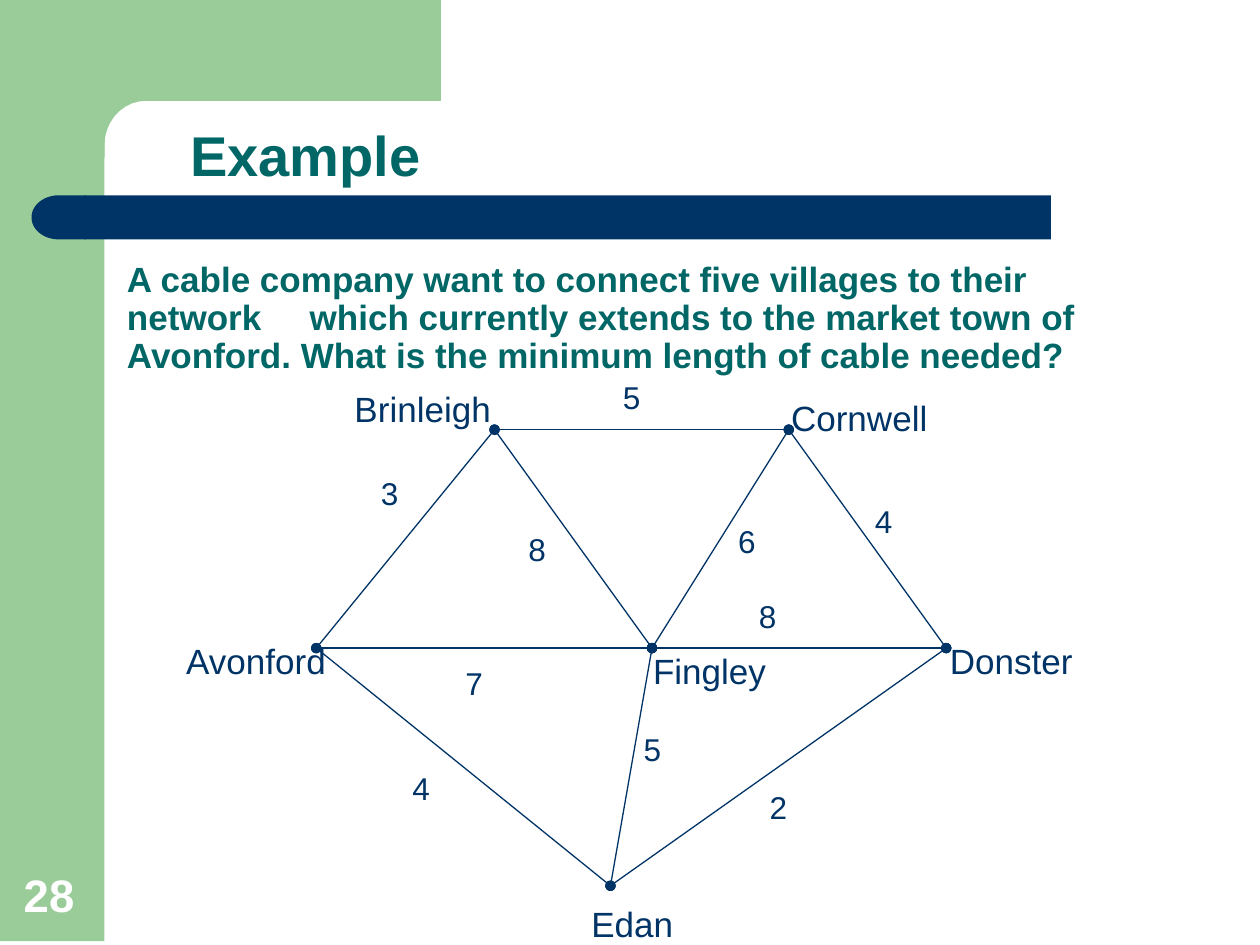
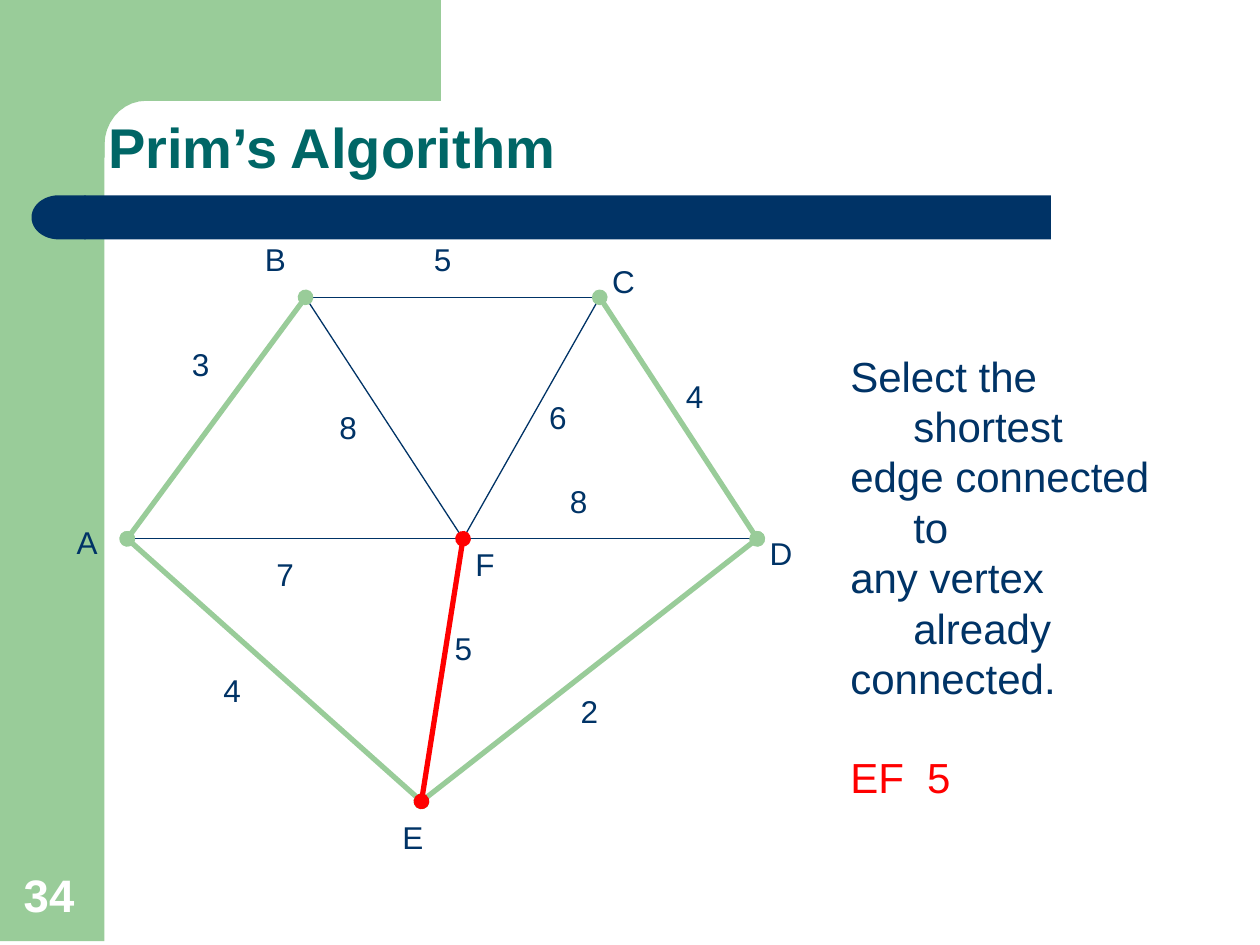
import math
from dataclasses import dataclass

from lxml import etree
from pptx import Presentation
from pptx import util as u
from pptx.dml.color import RGBColor
from pptx.enum import shapes, text
from pptx.oxml import ns

# Grid: 100 columns by 75 rows of square cells
CELL = u.Inches(0.1)
COLUMNS, ROWS = 100, 75


@dataclass(frozen=True)
class Theme:
    font: str = "Arial"
    green: str = "99CC99"
    navy: str = "003366"
    teal: str = "006666"
    red: str = "FF0000"
    white: str = "FFFFFF"
    title: int = 32
    number: int = 26
    note: int = 24
    body: int = 20
    weight: int = 18
    thin: float = 0.75
    thick: float = 3


THEME = Theme()

# Vertices and edge weights, in percent of the graph's box
VERTICES = {"A": (0, 47.9), "B": (28.3, 0), "C": (75, 0),
            "D": (100, 47.9), "E": (46.7, 100), "F": (53.3, 47.9)}
# edge: (weight, left and top of its label)
EDGES = {"AB": ("3", 8.3, 8.3), "BC": ("5", 46.7, -12.6), "CD": ("4", 86.7, 14.6),
         "AF": ("7", 21.7, 50), "FD": ("8", 68.3, 35.4), "BF": ("8", 31.7, 20.7),
         "FC": ("6", 65, 18.8), "AE": ("4", 13.3, 73), "EF": ("5", 50, 64.6),
         "ED": ("2", 70, 77.1)}


def cells(*lengths):
    return [round(length * CELL) for length in lengths]


def within(box, across, down):
    """Turn percent of a box into cells on the slide."""
    left, top, width, height = box
    return left + width * across / 100, top + height * down / 100


def place(shape, box):
    shape.left, shape.top, shape.width, shape.height = cells(*box)


def set_frame(shape, anchor=text.MSO_ANCHOR.TOP):
    frame = shape.text_frame
    frame.word_wrap = True
    frame.auto_size = text.MSO_AUTO_SIZE.NONE
    frame.vertical_anchor = anchor
    frame.margin_left = frame.margin_right = u.Inches(0.1)
    frame.margin_top = frame.margin_bottom = u.Inches(0.05)
    return frame


def add_run(paragraph, words, size, color, bold=False):
    run = paragraph.add_run()
    run.text = words
    run.font.name = THEME.font
    run.font.size = u.Pt(size)
    run.font.bold = bold
    run.font.color.rgb = RGBColor.from_string(color)


def add_text(slide, box, words, size, color, bold=False, anchor=text.MSO_ANCHOR.TOP):
    frame = set_frame(slide.shapes.add_textbox(*cells(*box)), anchor)
    add_run(frame.paragraphs[0], words, size, color, bold)
    return frame.paragraphs[0]


def add_tab(paragraph, position):
    tabs = etree.SubElement(paragraph._p.get_or_add_pPr(), ns.qn("a:tabLst"))
    etree.SubElement(tabs, ns.qn("a:tab"), pos=str(round(position * CELL)), algn="l")


def paint(shape, color):
    shape.shadow.inherit = False
    shape.fill.solid()
    shape.fill.fore_color.rgb = RGBColor.from_string(color)
    shape.line.fill.background()


def build_backdrop(slide):
    """Draw the side band, corner and title bar, then move them to the layout."""
    side, corner, bar_top, bar_height = 8.3, (11.6, 11.5), 15.5, 3.5
    kinds = shapes.MSO_SHAPE
    band = slide.shapes.add_shape(kinds.RECTANGLE, *cells(0, 0, side, ROWS - 0.3))

    # Top block with a rounded inner corner
    radius_x, radius_y = corner[0] - side, corner[1] - 8
    arc = [(corner[0] - radius_x * math.sin(math.radians(angle)),
            corner[1] - radius_y * math.cos(math.radians(angle)))
           for angle in range(0, 91, 10)]
    outline = [(35, 0), (35, 8), *arc, (side, 12.5), (5, 12.5), (5, 0)]
    points = [tuple(cells(*point)) for point in outline]
    builder = slide.shapes.build_freeform(*points[0])
    builder.add_line_segments(points[1:], close=True)
    block = builder.convert_to_shape()

    # Title bar with its round left end
    bar = slide.shapes.add_shape(kinds.RECTANGLE, *cells(6.7, bar_top, 76.7, bar_height))
    cap = slide.shapes.add_shape(kinds.FLOWCHART_DELAY, *cells(2.5, bar_top, 4.3, bar_height))
    cap.rotation = 180

    for shape, color in ((band, THEME.green), (block, THEME.green),
                         (bar, THEME.navy), (cap, THEME.navy)):
        paint(shape, color)
        slide.slide_layout.shapes.element.append(shape.element)


def add_slide(presentation, title, title_box, number):
    slide = presentation.slides.add_slide(presentation.slide_layouts[5])
    place(slide.shapes.title, title_box)
    paragraph = set_frame(slide.shapes.title).paragraphs[0]
    paragraph.alignment = text.PP_ALIGN.LEFT
    add_run(paragraph, title, THEME.title, THEME.teal, bold=True)
    add_text(slide, (0.9, 68.3, 6.4, 5.3), number, THEME.number, THEME.white,
             bold=True, anchor=text.MSO_ANCHOR.BOTTOM)
    return slide


def add_edge(slide, box, edge, color, width, dots):
    start, end = (within(box, *VERTICES[vertex]) for vertex in edge)
    line = slide.shapes.add_connector(shapes.MSO_CONNECTOR.STRAIGHT, *cells(*start, *end))
    line.line.color.rgb = RGBColor.from_string(color)
    line.line.width = u.Pt(width)
    properties = line.element.spPr
    if dots:
        for tip in ("a:headEnd", "a:tailEnd"):
            etree.SubElement(properties.find(ns.qn("a:ln")), ns.qn(tip), type="oval")
    etree.SubElement(properties, ns.qn("a:effectLst"))


def add_graph(slide, box, labels, label_size, chosen=None):
    """Labels map a vertex to its text, offset in cells and width."""
    chosen = chosen or {}
    for edge in EDGES:
        add_edge(slide, box, edge, THEME.navy, THEME.thin, dots=not chosen)
    for weight, across, down in EDGES.values():
        add_text(slide, (*within(box, across, down), 5, 4), weight, THEME.weight, THEME.navy)
    for vertex, (name, right, below, width) in labels.items():
        left, top = within(box, *VERTICES[vertex])
        add_text(slide, (left + right, top + below, width, 4.4), name, label_size, THEME.navy)
    for edge, color in chosen.items():
        add_edge(slide, box, edge, color, THEME.thick, dots=True)


def add_question(slide, box):
    paragraph = add_text(
        slide, box,
        "A cable company want to connect five villages to their network\twhich currently "
        "extends to the market town of Avonford. What is the minimum length of cable needed?",
        THEME.body, THEME.teal, bold=True, anchor=text.MSO_ANCHOR.BOTTOM)
    paragraph.line_spacing = 0.9
    add_tab(paragraph, 14.5)


def add_step(slide, box, lines, result):
    frame = set_frame(slide.shapes.add_textbox(*cells(*box)))
    for index, line in enumerate(lines):
        paragraph = frame.add_paragraph() if index else frame.paragraphs[0]
        hanging = paragraph._p.get_or_add_pPr()
        hanging.set("marL", str(5 * CELL))
        hanging.set("indent", str(-5 * CELL))
        add_run(paragraph, line, THEME.note, THEME.navy)
    paragraph = frame.add_paragraph()
    paragraph.space_before = u.Pt(28)
    add_tab(paragraph, 6.1)
    add_run(paragraph, result, THEME.note, THEME.red)


def build_example(presentation):
    slide = add_slide(presentation, "Example", (14.1, 9.1, 20.9, 6.4), "28")
    build_backdrop(slide)
    add_question(slide, (9.1, 19.4, 83.4, 10.9))
    villages = {"A": ("Avonford", -11.3, -1.2, 13.4), "B": ("Brinleigh", -12.1, -3.8, 12.9),
                "C": ("Cornwell", -0.8, -3.1, 14.2), "D": ("Donster", -0.7, -1.2, 15.1),
                "E": ("Edan", -2.5, 0.8, 10.4), "F": ("Fingley", -0.9, -0.4, 11.6)}
    add_graph(slide, (25.1, 34.1, 50, 36.2), villages, THEME.body)


def build_prim(presentation):
    slide = add_slide(presentation, "Prim’s Algorithm", (7.6, 8.4, 58.2, 6.4), "34")
    add_step(slide, (66.5, 27.3, 29.1, 47),
             ["Select the shortest", "edge connected to", "any vertex already", "connected."],
             "EF\t5")
    offsets = {"A": (-5, -1.7), "B": (-4.2, -5), "C": (0, -3.3),
               "D": (0, -0.9), "E": (-2.5, 0.8), "F": (0, 0)}
    labels = {vertex: (vertex, *offset, 5) for vertex, offset in offsets.items()}
    chosen = dict.fromkeys(("AB", "AE", "ED", "CD"), THEME.green)
    chosen["EF"] = THEME.red
    add_graph(slide, (10.1, 23.6, 50, 40), labels, THEME.weight, chosen)


def main():
    presentation = Presentation()
    presentation.slide_width, presentation.slide_height = cells(COLUMNS, ROWS)
    build_example(presentation)
    build_prim(presentation)
    presentation.save("out.pptx")


if __name__ == "__main__":
    main()
